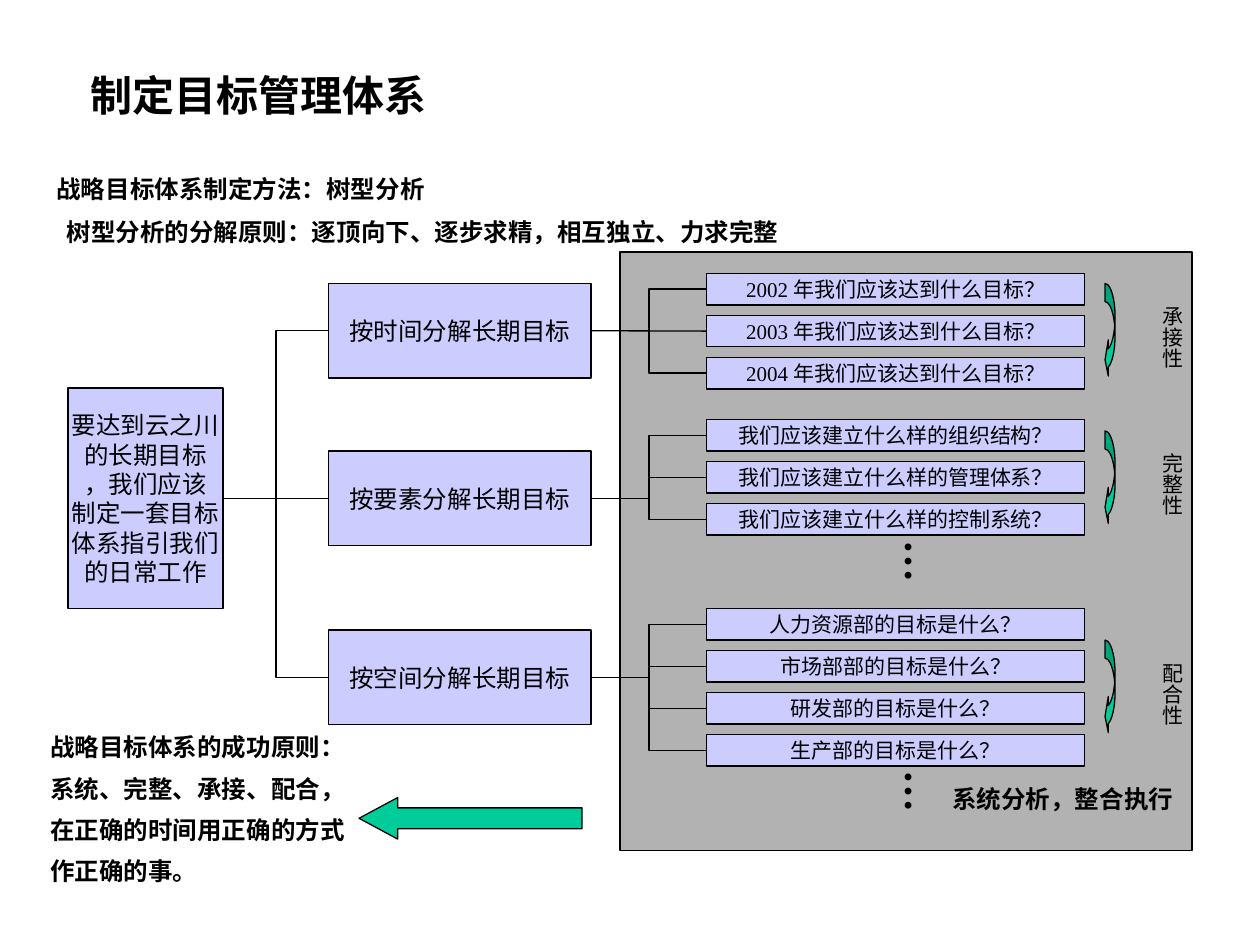
import dataclasses

import lxml.etree
import pptx
import pptx.dml.color
import pptx.enum.lang
import pptx.enum.shapes
import pptx.enum.text
import pptx.oxml.ns
import pptx.util

Inches = pptx.util.Inches
Shapes = pptx.enum.shapes.MSO_SHAPE
Lines = pptx.enum.shapes.MSO_CONNECTOR
Align = pptx.enum.text.PP_ALIGN
Anchor = pptx.enum.text.MSO_ANCHOR
AutoSize = pptx.enum.text.MSO_AUTO_SIZE


def colour(code):
    return pptx.dml.color.RGBColor.from_string(code)


@dataclasses.dataclass(frozen=True)
class Theme:
    ink = colour("000000")
    node = colour("CCCCFF")
    panel = colour("B2B2B2")
    arrow = colour("00CC99")
    font = "Times New Roman"
    title = pptx.util.Pt(24)
    body = pptx.util.Pt(14)
    small = pptx.util.Pt(12)
    line = pptx.util.Pt(0.75)


THEME = Theme()
ROOT_TEXT = ["要达到云之川", "的长期目标", "，我们应该", "制定一套目标", "体系指引我们", "的日常工作"]
SUCCESS_TEXT = ["战略目标体系的成功原则：", "系统、完整、承接、配合，", "在正确的时间用正确的方式", "作正确的事。"]
BRANCHES = [
    ("按时间分解长期目标", 2.25, 2.17, "承接性", 2.25,
     [f"{year} 年我们应该达到什么目标？" for year in (2002, 2003, 2004)]),
    ("按要素分解长期目标", 3.58, 3.33, "完整性", 3.42,
     [f"我们应该建立什么样的{part}？" for part in ("组织结构", "管理体系", "控制系统")]),
    ("按空间分解长期目标", 5, 4.83, "配合性", 5.08,
     [f"{team}的目标是什么？" for team in ("人力资源部", "市场部部", "研发部", "生产部")]),
]
ROW_PITCH = 1 / 3


def place(box):
    return [Inches(length) for length in box]


def write(shape, lines, size, bold=False, align=Align.LEFT, spacing=None,
          wrap=False, anchor=Anchor.TOP, vertical=False):
    frame = shape.text_frame
    frame.word_wrap = wrap
    frame.vertical_anchor = anchor
    frame.margin_left = frame.margin_right = Inches(0.05 if vertical else 0.1)
    frame.margin_top = frame.margin_bottom = Inches(0.05)
    if vertical:
        shape.element.txBody.bodyPr.set("vert", "eaVert")
    for index, line in enumerate(lines):
        para = frame.add_paragraph() if index else frame.paragraphs[0]
        para.alignment = align
        if spacing:
            para.line_spacing = spacing
        span = para.add_run()
        span.text = line
        span.font.name = THEME.font
        span.font.size = size
        span.font.bold = bold
        span.font.color.rgb = THEME.ink
        span.font.language_id = pptx.enum.lang.MSO_LANGUAGE_ID.SIMPLIFIED_CHINESE


def add_text(page, box, lines, size, **style):
    shape = page.shapes.add_textbox(*place(box))
    write(shape, lines, size, **style)
    shape.text_frame.auto_size = AutoSize.SHAPE_TO_FIT_TEXT


def add_block(page, kind, box, fill):
    shape = page.shapes.add_shape(kind, *place(box))
    shape.shadow.inherit = False
    shape.fill.solid()
    shape.fill.fore_color.rgb = fill
    shape.line.color.rgb = THEME.ink
    shape.line.width = THEME.line
    return shape


def add_node(page, box, lines, size):
    shape = add_block(page, Shapes.RECTANGLE, box, THEME.node)
    write(shape, lines, size, align=Align.CENTER, anchor=Anchor.MIDDLE)
    return shape


def join(page, child, parent):
    drop = abs(child.top + child.height / 2 - parent.top - parent.height / 2)
    kind = Lines.STRAIGHT if drop < Inches(0.02) else Lines.ELBOW
    link = page.shapes.add_connector(kind, 0, 0, 0, 0)
    link.begin_connect(child, 1)
    link.end_connect(parent, 3)
    link.line.color.rgb = THEME.ink
    link.line.width = THEME.line
    lxml.etree.SubElement(link.element.spPr, pptx.oxml.ns.qn("a:effectLst"))


def add_title(page, box):
    title = page.shapes.title
    title.left, title.top, title.width, title.height = place(box)
    write(title, ["制定目标管理体系"], THEME.title, bold=True)
    title.text_frame.auto_size = AutoSize.SHAPE_TO_FIT_TEXT


def add_heading(page, box):
    left, top, width, height = box
    add_text(page, (left, top, 3.2, height), ["战略目标体系制定方法：树型分析"], THEME.body, bold=True)
    add_text(page, (left + 0.08, top + height, width - 0.08, height),
             ["树型分析的分解原则：逐顶向下、逐步求精，相互独立、力求完整"], THEME.body, bold=True)


def add_quality(page, box, label):
    left, top, width, height = box
    arrow = add_block(page, Shapes.CURVED_LEFT_ARROW, (left, top, 0.08, height), THEME.arrow)
    for index, ratio in enumerate((1.8, 3.6, 0.33)):
        arrow.adjustments[index] = ratio
    add_text(page, (left + width - 0.4, top + 0.08, 0.4, 0.65), [label], THEME.small, vertical=True)


def add_tree(page, box):
    left, top, width, height = box
    root = add_node(page, (left, 3.08, 1.23, 1.75), ROOT_TEXT, THEME.body)
    for goal, goal_top, rows_top, quality, quality_top, questions in BRANCHES:
        branch = add_node(page, (left + 2.07, goal_top, 2.08, 0.75), [goal], THEME.body)
        join(page, branch, root)
        for index, question in enumerate(questions):
            row = (left + 5.07, rows_top + index * ROW_PITCH, 3, 0.25)
            join(page, add_node(page, row, [question], THEME.small), branch)
        add_quality(page, (left + 8.23, quality_top, width - 8.23, 0.75), quality)
    for dots_top in (4.19, 6.02):
        add_text(page, (left + 6.43, dots_top, 0.6, 0.45), ["…"], THEME.title,
                 bold=True, wrap=True, vertical=True)


def add_panel(page, box):
    add_block(page, Shapes.RECTANGLE, box, THEME.panel)
    left, top, width, height = box
    add_text(page, (left + 2.54, top + 4.17, 2, 0.34), ["系统分析，整合执行"], THEME.body, bold=True)


def add_success(page, box):
    left, top, width, height = box
    add_text(page, (left, top, 2.6, height), SUCCESS_TEXT, THEME.body, bold=True, spacing=1.4)
    arrow = add_block(page, Shapes.LEFT_ARROW, (left + width - 1.77, top + 0.66, 1.77, 0.33), THEME.arrow)
    arrow.adjustments[0] = 0.5
    arrow.adjustments[1] = 0.93


def main():
    deck = pptx.Presentation()
    deck.slide_width, deck.slide_height = Inches(10), Inches(7.5)
    page = deck.slides.add_slide(deck.slide_layouts[5])
    add_panel(page, (4.92, 2, 4.54, 4.75))
    add_heading(page, (0.35, 1.33, 6.05, 0.34))
    add_tree(page, (0.54, 2.17, 8.91, 4.33))
    add_success(page, (0.3, 5.67, 4.32, 1.74))
    add_title(page, (0.62, 0.5, 3, 0.5))
    deck.save("out.pptx")


if __name__ == "__main__":
    main()
